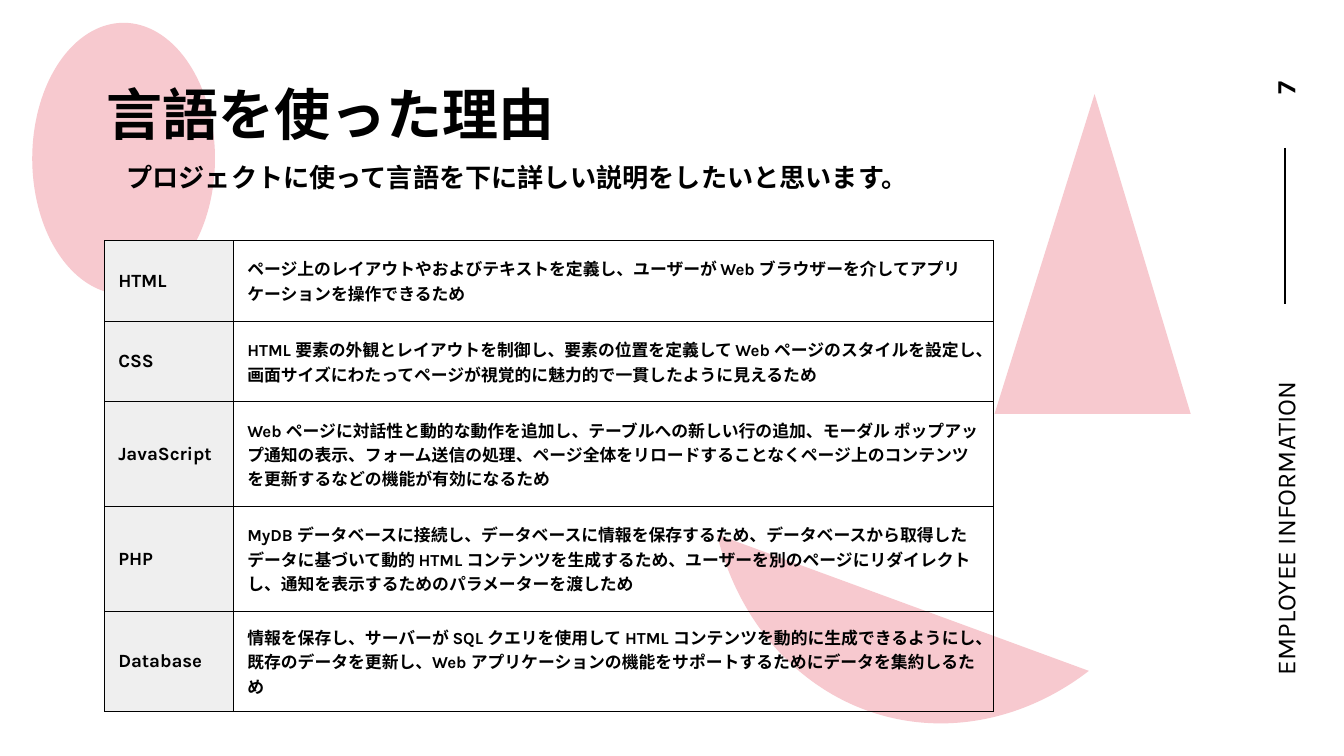
from dataclasses import dataclass
from typing import Any, Optional

from lxml.etree import SubElement
from pptx import Presentation
from pptx.dml.color import RGBColor
from pptx.enum.shapes import MSO_CONNECTOR as CONN, MSO_SHAPE as SHAPE
from pptx.enum.text import MSO_ANCHOR as ANCHOR, MSO_AUTO_SIZE as AUTO, PP_ALIGN as ALIGN
from pptx.oxml.ns import qn
from pptx.util import Inches, Pt

BLACK, PINK, GREY = "000000", "F7C9CF", "EFEFEF"
SLIDE_WIDTH = Inches(10)
SLIDE_HEIGHT = SLIDE_WIDTH * 9 // 16
LINE_WIDTH = Pt(0.75)
INSET = Inches(0.1)
COMPARISON_LAYOUT = 4


@dataclass
class Decoration:
    kind: Any
    box: tuple[float, float, float, float]
    adjustments: tuple[float, ...] = ()
    rotation: float = 0


@dataclass
class Label:
    text: str
    box: tuple[float, float, float, float]
    size: float
    placeholder: Optional[int] = None
    font: str = "Karla"
    bold: bool = True
    rotation: float = 0
    anchor: Any = ANCHOR.TOP
    align: Any = ALIGN.LEFT
    indent: float = 0


@dataclass
class Reason:
    language: str
    text: str
    height: float


DECORATIONS = [
    Decoration(SHAPE.ISOSCELES_TRIANGLE, (7.4, 0.7, 1.46, 2.38), (0.51,)),
    Decoration(SHAPE.CHORD, (5.29, 1.2, 3.67, 4.2), (27, 86.56), 15),
    Decoration(SHAPE.OVAL, (0.24, 0.17, 1.36, 2.02)),
]

LABELS = [
    Label("言語を使った理由", (0.69, 0.49, 7.15, 0.6), 30, placeholder=0, font="Montserrat"),
    Label("プロジェクトに使って言語を下に詳しい説明をしたいと思います。",
          (0.69, 1.1, 6.44, 0.6), 14, placeholder=1, indent=0.15),
    Label("EMPLOYEE INFORMATION", (8.13, 3.46, 2.86, 0.47), 14, placeholder=3,
          bold=False, rotation=270, anchor=ANCHOR.MIDDLE),
    Label("7", (9.26, 0.59, 0.6, 0.43), 14, rotation=270,
          anchor=ANCHOR.MIDDLE, align=ALIGN.RIGHT),
]

COLUMN_WIDTHS = (0.96, 5.65)
REASONS = [
    Reason("HTML", "ページ上のレイアウトやおよびテキストを定義し、ユーザーが Web ブラウザーを介して"
           "アプリケーションを操作できるため", 0.6),
    Reason("CSS", "HTML 要素の外観とレイアウトを制御し、要素の位置を定義して Web ページのスタイルを設定し、"
           "画面サイズにわたってページが視覚的に魅力的で一貫したように見えるため", 0.6),
    Reason("JavaScript", "Web ページに対話性と動的な動作を追加し、テーブルへの新しい行の追加、"
           "モーダル ポップアップ通知の表示、フォーム送信の処理、ページ全体をリロードすることなく"
           "ページ上のコンテンツを更新するなどの機能が有効になるため", 0.78),
    Reason("PHP", "MyDB データベースに接続し、データベースに情報を保存するため、"
           "データベースから取得したデータに基づいて動的 HTML コンテンツを生成するため、"
           "ユーザーを別のページにリダイレクトし、通知を表示するためのパラメーターを渡しため", 0.78),
    Reason("Database", "情報を保存し、サーバーが SQL クエリを使用して HTML コンテンツを動的に生成できるようにし、"
           "既存のデータを更新し、Web アプリケーションの機能をサポートするためにデータを集約しるため", 0.44),
]


def rgb(value: str) -> RGBColor:
    return RGBColor.from_string(value)


def set_all(target: Any, values: dict[str, Any]) -> None:
    for name, value in values.items():
        setattr(target, name, value)


def place(sp: Any, box: tuple[float, float, float, float]) -> None:
    set_all(sp, dict(zip(("left", "top", "width", "height"), map(Inches, box))))


def write(p: Any, text: str, size: float, font: str, bold: bool) -> None:
    r = p.add_run()
    r.text = text
    set_all(r.font, {"size": Pt(size), "name": font, "bold": bold})
    r.font.color.rgb = rgb(BLACK)


def add_decoration(slide: Any, item: Decoration, depth: int) -> None:
    """Draw a pink shape behind the placeholders."""
    sp = slide.shapes.add_shape(item.kind, *map(Inches, item.box))
    sp.shadow.inherit = False
    sp.rotation = item.rotation
    sp.fill.solid()
    sp.fill.fore_color.rgb = rgb(PINK)
    sp.line.fill.background()
    for i, value in enumerate(item.adjustments):
        sp.adjustments[i] = value
    slide.shapes._spTree.insert(2 + depth, sp._element)


def add_label(slide: Any, label: Label) -> None:
    if label.placeholder is None:
        sp = slide.shapes.add_textbox(0, 0, 0, 0)
    else:
        sp = slide.placeholders[label.placeholder]
    place(sp, label.box)
    sp.rotation = label.rotation
    tf = sp.text_frame
    set_all(tf, {"word_wrap": True, "auto_size": AUTO.NONE, "vertical_anchor": label.anchor,
                 "margin_left": INSET, "margin_right": INSET,
                 "margin_top": INSET, "margin_bottom": INSET})
    p = tf.paragraphs[0]
    set_all(p, {"alignment": label.align, "space_before": Pt(0)})
    if label.indent:
        p._p.get_or_add_pPr().set("marL", str(Inches(label.indent)))
    write(p, label.text, label.size, label.font, label.bold)


def add_borders(cell: Any) -> None:
    tc_pr = cell._tc.get_or_add_tcPr()
    for i, side in enumerate(("lnL", "lnR", "lnT", "lnB")):
        ln = SubElement(tc_pr, qn(f"a:{side}"), w=str(LINE_WIDTH))
        SubElement(SubElement(ln, qn("a:solidFill")), qn("a:srgbClr"), val=BLACK)
        tc_pr.insert(i, ln)


def fill_cell(cell: Any, text: str, size: float, color: Optional[str] = None) -> None:
    set_all(cell, {"vertical_anchor": ANCHOR.MIDDLE, "margin_left": INSET,
                   "margin_right": INSET, "margin_top": INSET, "margin_bottom": INSET})
    if color:
        cell.fill.solid()
        cell.fill.fore_color.rgb = rgb(color)
    else:
        cell.fill.background()
    add_borders(cell)
    write(cell.text_frame.paragraphs[0], text, size, "Karla", True)


def add_reason_table(slide: Any) -> None:
    height = sum(reason.height for reason in REASONS)
    table = slide.shapes.add_table(len(REASONS), 2, Inches(0.78), Inches(1.79),
                                   Inches(sum(COLUMN_WIDTHS)), Inches(height)).table
    set_all(table, {"first_row": False, "horz_banding": False})
    for column, width in zip(table.columns, COLUMN_WIDTHS):
        column.width = Inches(width)
    for i, reason in enumerate(REASONS):
        table.rows[i].height = Inches(reason.height)
        fill_cell(table.cell(i, 0), reason.language, 10, GREY)
        fill_cell(table.cell(i, 1), reason.text, 9)


def add_side_rule(slide: Any) -> None:
    line = slide.shapes.add_connector(CONN.STRAIGHT, Inches(9.56), Inches(1.1),
                                      Inches(9.56), Inches(2.26))
    line.line.color.rgb = rgb(BLACK)
    line.line.width = LINE_WIDTH
    SubElement(line._element.spPr, qn("a:effectLst"))


def main() -> None:
    prs = Presentation()
    set_all(prs, {"slide_width": SLIDE_WIDTH, "slide_height": SLIDE_HEIGHT})
    slide = prs.slides.add_slide(prs.slide_layouts[COMPARISON_LAYOUT])
    for depth, item in enumerate(DECORATIONS):
        add_decoration(slide, item, depth)
    for label in LABELS:
        add_label(slide, label)
    add_side_rule(slide)
    add_reason_table(slide)
    for sp in list(slide.placeholders):
        if not sp.text_frame.text:
            sp._element.getparent().remove(sp._element)
    prs.save("out.pptx")


if __name__ == "__main__":
    main()
